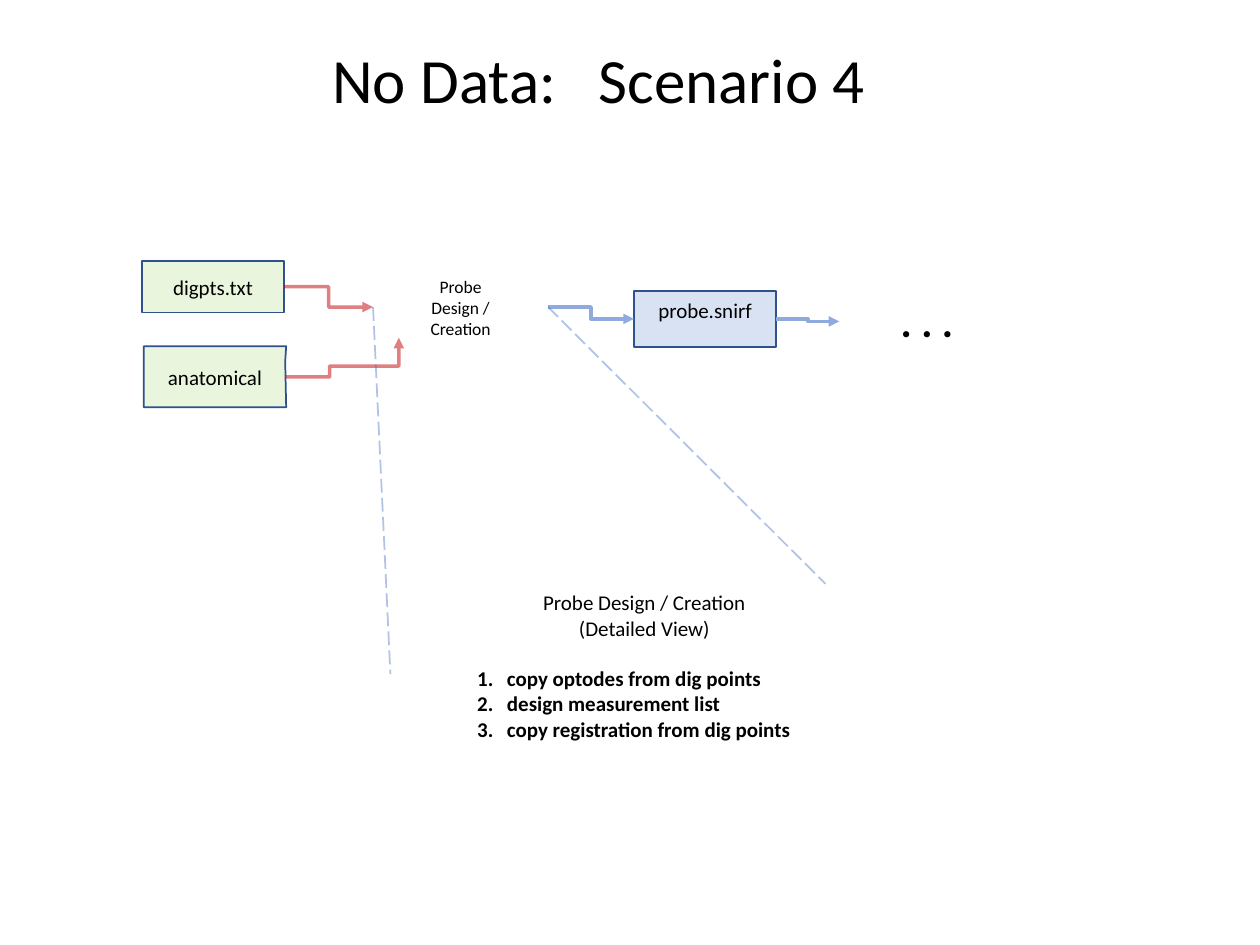
from lxml.etree import SubElement
from pptx import Presentation
from pptx.dml.color import RGBColor
from pptx.enum.dml import MSO_LINE
from pptx.enum.shapes import MSO_CONNECTOR, MSO_SHAPE
from pptx.enum.text import MSO_ANCHOR, MSO_AUTO_SIZE, PP_ALIGN
from pptx.oxml.ns import qn
from pptx.util import Cm, Pt

THEME = {
    "font": "Calibri", "text": "000000", "outline": "2F528F",
    "input": "92D050", "output": "4472C4",
    "input_arrow": ("C00000", 50), "output_arrow": ("8FAADC", None),
    "zoom": ("4472C4", 42), "fill_opacity": 20,
    "title": 36, "dots": 24, "body": 12, "small": 10,
}

# Left, top, width, height in centimetres
TITLE = ("No Data:\tScenario 4", (6.45, 0.69, 12.83, 1.78))
TITLE_TAB = 5.37
FILES = {
    "digpts.txt": ((2.86, 5.26, 2.87, 1.04), "input", MSO_ANCHOR.MIDDLE),
    "anatomical": ((2.9, 6.98, 2.87, 1.23), "input", MSO_ANCHOR.MIDDLE),
    "probe.snirf": ((12.78, 5.87, 2.87, 1.12), "output", MSO_ANCHOR.TOP),
}
LABELS = [
    ("Probe Design / Creation", (7.52, 5.33, 3.53, 1.73), "small", False),
    (". . .", (16.92, 5.18, 3.53, 2.57), "dots", True),
]
DETAIL_BOX = (7.87, 11, 10.24, 5.18)
DETAIL_HEADING = ["Probe Design / Creation", "(Detailed View)"]
DETAIL_STEPS = ["copy optodes from dig points", "design measurement list",
                "copy registration from dig points"]

STEP_LEFT, STEP_RIGHT = (7.52, 6.19), (11.05, 6.19)
# Start, end, colour, file at the start, file at the end
ARROWS = [
    (STEP_RIGHT, (12.78, 6.43), "output_arrow", None, "probe.snirf"),
    ((5.73, 5.78), STEP_LEFT, "input_arrow", "digpts.txt", None),
    ((5.77, 7.6), (8.04, 6.81), "input_arrow", None, None),
    ((15.65, 6.43), (16.92, 6.48), "output_arrow", "probe.snirf", None),
]
UPWARD_BEND = {"adj1": 38600, "adj2": 27600}
ZOOM_LINES = [(STEP_RIGHT, (16.64, 11.77)), (STEP_LEFT, (7.87, 13.59))]


def lengths(values):
    return [Cm(value) for value in values]


def place(shape, box):
    shape.left, shape.top, shape.width, shape.height = lengths(box)


def set_opacity(fill, percent):
    color = next(fill.iter(qn("a:srgbClr")))
    SubElement(color, qn("a:alpha"), val=str(percent * 1000))


def style_text(para, size, bold=False, align=PP_ALIGN.CENTER):
    para.alignment = align
    para.font.name = THEME["font"]
    para.font.size = Pt(THEME[size])
    para.font.bold = bold
    para.font.color.rgb = RGBColor.from_string(THEME["text"])


def set_frame(frame, anchor, side=0.25, top=0.13):
    frame.word_wrap = True
    frame.auto_size = MSO_AUTO_SIZE.NONE
    frame.vertical_anchor = anchor
    frame.margin_left = frame.margin_right = Cm(side)
    frame.margin_top, frame.margin_bottom = Cm(top), Cm(0.13)


def add_title(page):
    text, box = TITLE
    title = page.shapes.title
    place(title, box)
    set_frame(title.text_frame, MSO_ANCHOR.TOP)
    title.text_frame.text = text
    para = title.text_frame.paragraphs[0]
    tabs = SubElement(para._p.get_or_add_pPr(), qn("a:tabLst"))
    SubElement(tabs, qn("a:tab"), pos=str(Cm(TITLE_TAB)), algn="l")
    style_text(para, "title", align=PP_ALIGN.LEFT)


def outline_with_wavy_side(page, box):
    """Build a rectangle whose right side bends slightly inwards."""
    left, top, width, height = lengths(box)
    right, bottom = left + width, top + height
    builder = page.shapes.build_freeform(left, top)
    builder.add_line_segments([
        (right, top), (right - Cm(0.02), top + height // 4),
        (right, bottom), (left, bottom)], close=True)
    return builder.convert_to_shape()


def add_file(page, name, box, color, anchor):
    if name == "anatomical":
        shape = outline_with_wavy_side(page, box)
    else:
        shape = page.shapes.add_shape(MSO_SHAPE.RECTANGLE, *lengths(box))
    shape.shadow.inherit = False
    shape.fill.solid()
    shape.fill.fore_color.rgb = RGBColor.from_string(THEME[color])
    set_opacity(shape._element.spPr.find(qn("a:solidFill")), THEME["fill_opacity"])
    shape.line.color.rgb = RGBColor.from_string(THEME["outline"])
    shape.line.width = Pt(1)
    set_frame(shape.text_frame, anchor)
    shape.text_frame.text = name
    style_text(shape.text_frame.paragraphs[0], "body")
    return shape


def add_label(page, text, box, size, bold):
    label = page.shapes.add_textbox(*lengths(box))
    set_frame(label.text_frame, MSO_ANCHOR.MIDDLE, side=0.77)
    label.text_frame.text = text
    style_text(label.text_frame.paragraphs[0], size, bold)


def add_details(page):
    body = page.placeholders[1]
    place(body, DETAIL_BOX)
    set_frame(body.text_frame, MSO_ANCHOR.TOP, side=1.75, top=0.89)
    body.text_frame.text = "\n".join(DETAIL_HEADING + DETAIL_STEPS)
    first_step = len(DETAIL_HEADING)
    for index, para in enumerate(body.text_frame.paragraphs):
        is_step = index >= first_step
        indent = Cm(0.6) if is_step else 0
        properties = para._p.get_or_add_pPr()
        properties.set("marL", str(indent))
        properties.set("indent", str(-indent))
        if is_step:
            SubElement(properties, qn("a:buFont"), typeface=THEME["font"])
            SubElement(properties, qn("a:buAutoNum"), type="arabicPeriod")
        else:
            SubElement(properties, qn("a:buNone"))
        para.space_before = Pt(14.5 if index == first_step else 0)
        style_text(para, "body", is_step,
                   PP_ALIGN.LEFT if is_step else PP_ALIGN.CENTER)


def add_line(page, kind, start, end, color, width):
    line = page.shapes.add_connector(kind, *lengths(start + end))
    rgb, opacity = THEME[color]
    line.line.color.rgb = RGBColor.from_string(rgb)
    line.line.width = Pt(width)
    if opacity:
        set_opacity(line.line._ln, opacity)
    SubElement(line._element.spPr, qn("a:effectLst"))
    return line


def add_arrow(page, files, start, end, color, source, target):
    arrow = add_line(page, MSO_CONNECTOR.ELBOW, start, end, color, 2)
    SubElement(arrow.line._ln, qn("a:tailEnd"), type="triangle")
    if source:
        arrow.begin_connect(files[source], 3)
    if target:
        arrow.end_connect(files[target], 1)
    if end[1] < start[1]:
        geometry = arrow._element.spPr.find(qn("a:prstGeom"))
        geometry.set("prst", "bentConnector4")
        guides = geometry.find(qn("a:avLst"))
        for name, value in UPWARD_BEND.items():
            SubElement(guides, qn("a:gd"), name=name, fmla=f"val {value}")


def main():
    deck = Presentation()
    deck.slide_width, deck.slide_height = Cm(25.4), Cm(19.05)
    page = deck.slides.add_slide(deck.slide_layouts[1])
    add_title(page)
    files = {name: add_file(page, name, *details)
             for name, details in FILES.items()}
    for label in LABELS:
        add_label(page, *label)
    for arrow in ARROWS:
        add_arrow(page, files, *arrow)
    add_details(page)
    for start, end in ZOOM_LINES:
        line = add_line(page, MSO_CONNECTOR.STRAIGHT, start, end, "zoom", 1)
        line.line.dash_style = MSO_LINE.LONG_DASH
    deck.save("out.pptx")


if __name__ == "__main__":
    main()
